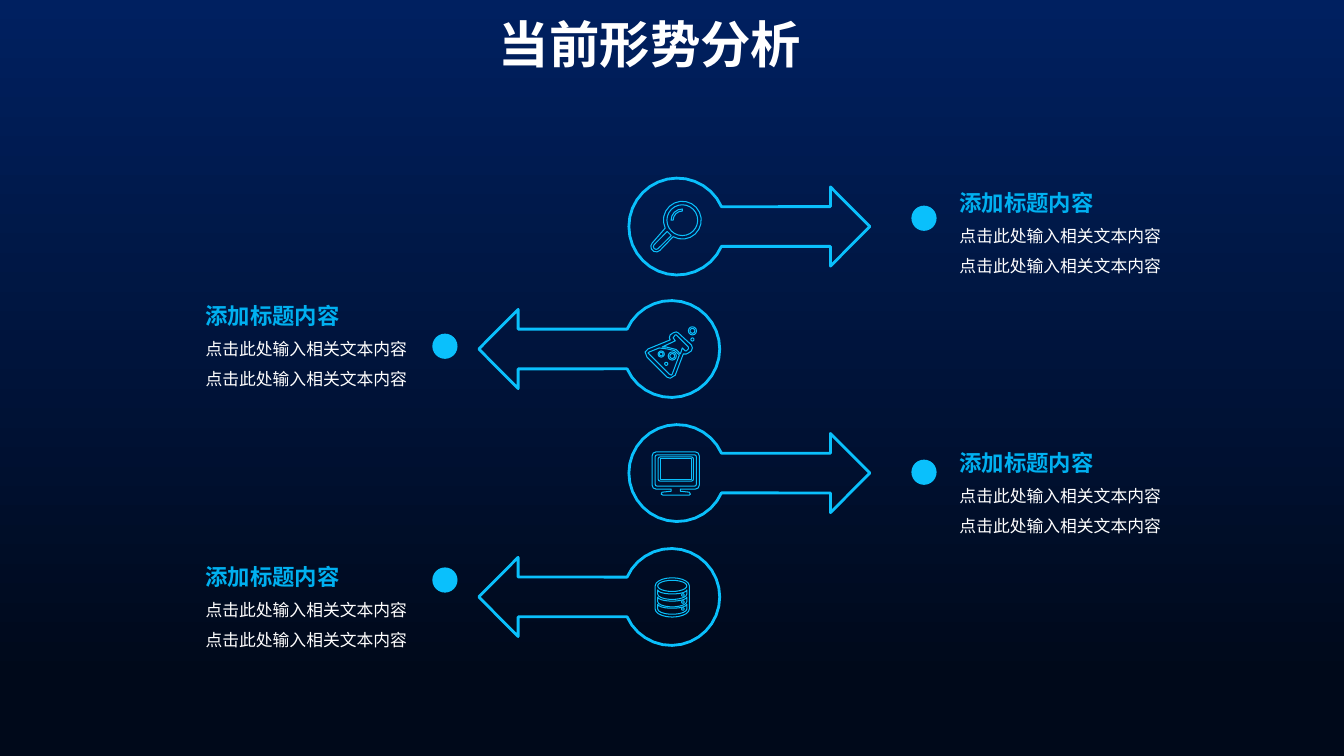
from math import cos, radians, sin, sqrt

from pptx import Presentation
from pptx.dml.color import RGBColor
from pptx.enum.shapes import MSO_SHAPE
from pptx.enum.text import MSO_ANCHOR, PP_ALIGN
from pptx.oxml.ns import qn
from pptx.util import Pt

OVAL = MSO_SHAPE.OVAL
DONUT = MSO_SHAPE.DONUT
LEFT = PP_ALIGN.LEFT
TOP = MSO_ANCHOR.TOP
FONT = "Noto Sans"
COLORS = {"sky": "002060", "night": "00091A", "cyan": "0AC0FC",
          "heading": "00B0F0", "white": "FFFFFF"}
TITLE = {"size": Pt(36), "bold": True, "color": "white"}
HEADING = {"size": Pt(16), "bold": True, "color": "heading"}
BODY = {"size": Pt(12), "bold": False, "color": "white"}

# Hub centre, dot centre and text corner of each step; way 1 points right
STEPS = [
    {"way": 1, "hub": (483.8, 161.8), "dot": (660, 155.9), "text": (685.4, 125.3)},
    {"way": -1, "hub": (479.5, 249.3), "dot": (317.8, 247.3), "text": (146.9, 205.9)},
    {"way": 1, "hub": (483.8, 337.9), "dot": (660, 337.3), "text": (685.4, 311)},
    {"way": -1, "hub": (479.5, 426.4), "dot": (317.8, 414.3), "text": (146.9, 392.4)},
]


def rgb(name):
    return RGBColor.from_string(COLORS[name])


# Outline geometry: lists of points relative to a hub centre
def arc(x, y, rx, ry, start, end):
    steps = max(2, round(abs(end - start) * sqrt(rx) / 65))
    angles = [radians(start + (end - start) * i / steps) for i in range(steps + 1)]
    return [(x + rx * cos(a), y + ry * sin(a)) for a in angles]


def rounded(left, top, right, bottom, r):
    corners = [(left + r, bottom - r), (left + r, top + r),
               (right - r, top + r), (right - r, bottom - r)]
    return [point for i, (x, y) in enumerate(corners)
            for point in arc(x, y, r, r, 90 + 90 * i, 180 + 90 * i)]


def arrow(way):
    shaft = [(109.4, 14.2), (109.4, 28.3), (137.5, 0), (109.4, -28.3), (109.4, -14.2)]
    outline = arc(0, 0, 34.6, 34.6, -24.2, -335.8) + shaft
    return [(way * x, y) for x, y in outline]


# Icons: shapes made of outlines, then rounds as (preset, x, y, rx, ry)
def magnifier():
    lens = (3.6, -4.5)
    rim = arc(*lens, 13.5, 13.5, 155, 479) + arc(-15.1, 14.4, 3.8, 3.8, 45, 225)
    grip = arc(-15.1, 14.4, 2, 2, 45, 225) + [(-7.2, 3.6), (-4.3, 6.5)]
    glint = arc(*lens, 8, 8, 180, 270) + arc(*lens, 6.5, 6.5, 270, 180)
    return [[rim, grip], [glint]], [(OVAL, *lens, 11, 11)]


def flask():
    glass = [(5, -11.5), (3.6, -12.2), (1.4, -11.5), (-0.7, -10.1), (-1.4, -7.9),
             (-0.7, -6.5), (-16.6, 0), (-18.7, 2.2), (-17.3, 5.8), (-2.9, 20.2),
             (-0.7, 20.9), (2.9, 18.7), (8.6, 3.6), (10.8, 3.6), (12.2, 2.9),
             (14.4, 1.4), (15.1, -0.7), (14.4, -2.9)]
    neck = [(12.2, 0), (10.8, 1.4), (10.1, 1.4), (7.9, -0.7), (6.5, 3.6),
            (3.6, 0.4), (-3.6, -1.4), (-6.5, -1.4), (2.9, -5.8), (1.4, -7.9),
            (2.9, -10.1), (3.6, -10.1), (12.2, -1.4)]
    liquid = [(0.7, 18), (0, 18.7), (-1.4, 18), (-15.8, 3.6), (-16.6, 2.9),
              (-15.8, 2.2), (-8.6, -0.7), (-2.9, 0), (2.2, 1.1), (5.8, 4.3)]
    bubbles = [(DONUT, 0.7, 5, 2.9, 2.9), (DONUT, 15.1, -13, 2.9, 2.9),
               (DONUT, -7.2, 3.6, 2.2, 2.2), (OVAL, -3.6, 10.6, 1.1, 1.1),
               (OVAL, 15.1, -6.8, 1.1, 1.1)]
    return [[glass, neck, liquid]], bubbles


def monitor():
    stand = [(2.2, 11.5), (2.2, 13), (8.6, 13.7), (9.4, 15.1), (8.6, 15.8),
             (-10.1, 15.8), (-11.5, 15.1), (-10.8, 13.7), (-4.3, 13), (-4.3, 11.5)]
    case = rounded(-18, -15.1, 15.8, 11.5, 2.9) + stand
    screen = [(-12.2, -10.1), (10.1, -10.1), (10.1, 4.3), (-12.2, 4.3)]
    return [[screen, rounded(-13.7, -11.5, 11.5, 5.8, 1.4)],
            [case, rounded(-15.8, -13, 13.7, 9.4, 1.4)]], []


def database():
    shell = arc(0.7, -7.9, 12.2, 5.8, 180, 360) + arc(0.7, 8.6, 12.2, 5.8, 0, 180)
    disks = [arc(0.7, -5 + 5.1 * i, 10.4, 2.9, 180, 0)
             + arc(0.7, -2 + 5.3 * i, 10.4, 3.8, 0, 180) for i in range(3)]
    lights = [(OVAL, 8.3, -1.4 + 5 * i, 0.9, 0.9) for i in range(3)]
    return [[shell] + disks], [(OVAL, 0.7, -7.9, 10.4, 4)] + lights


# Page elements
def style_line(shape, width):
    shape.shadow.inherit = False
    shape.fill.background()
    shape.line.color.rgb = rgb("cyan")
    shape.line.width = Pt(width)


def draw_outline(page, hub, outlines, width):
    placed = [[(Pt(hub[0] + x), Pt(hub[1] + y)) for x, y in outline]
              for outline in outlines]
    builder = page.shapes.build_freeform(*placed[0][0])
    for number, points in enumerate(placed):
        if number:
            builder.move_to(*points[0])
        builder.add_line_segments(points[1:], close=True)
    style_line(builder.convert_to_shape(), width)


def add_round(page, preset, x, y, rx, ry):
    return page.shapes.add_shape(preset, Pt(x - rx), Pt(y - ry), Pt(2 * rx), Pt(2 * ry))


def draw_icon(page, hub, icon):
    shapes, rounds = icon()
    for outlines in shapes:
        draw_outline(page, hub, outlines, 0.75)
    for preset, x, y, rx, ry in rounds:
        ring = add_round(page, preset, hub[0] + x, hub[1] + y, rx, ry)
        style_line(ring, 0.75)
        if preset == DONUT:
            ring.adjustments[0] = 0.2


def draw_dot(page, x, y):
    dot = add_round(page, OVAL, x, y, 9, 9)
    dot.shadow.inherit = False
    dot.fill.solid()
    dot.fill.fore_color.rgb = rgb("cyan")
    dot.line.fill.background()


def add_span(para, text, style):
    span = para.add_run()
    span.text = text
    span.font.name = FONT
    for name, value in style.items():
        if name == "color":
            span.font.color.rgb = rgb(value)
        else:
            setattr(span.font, name, value)
    east_asian = span.font._element.makeelement(qn("a:ea"), {"typeface": FONT})
    span.font._element.append(east_asian)


def add_caption(page, left, top):
    box = page.shapes.add_textbox(Pt(left), Pt(top), Pt(153.4), Pt(70.6))
    frame = box.text_frame
    frame.word_wrap = True
    for side in ("left", "top", "right", "bottom"):
        setattr(frame, f"margin_{side}", Pt(0))
    texts = [("添加标题内容", HEADING),
             ("点击此处输入相关文本内容" * 2, BODY)]
    for number, (text, style) in enumerate(texts):
        para = frame.add_paragraph() if number else frame.paragraphs[0]
        para.line_spacing = 1.5
        add_span(para, text, style)


def set_title(page, text):
    title = page.shapes.title
    place = {"left": 349.2, "top": 5.8, "width": 414, "height": 51.1}
    for name, value in place.items():
        setattr(title, name, Pt(value))
    title.text_frame.vertical_anchor = TOP
    para = title.text_frame.paragraphs[0]
    para.alignment = LEFT
    add_span(para, text, TITLE)


def set_background(page):
    fill = page.background.fill
    fill.gradient()
    fill.gradient_angle = 270
    for stop, (position, name) in zip(fill.gradient_stops, [(0, "sky"), (0.9, "night")]):
        stop.position = position
        stop.color.rgb = rgb(name)


def main():
    deck = Presentation()
    deck.slide_width, deck.slide_height = Pt(960), Pt(540)
    page = deck.slides.add_slide(deck.slide_layouts.get_by_name("Title Only"))
    set_background(page)
    set_title(page, "当前形势分析")
    for step, icon in zip(STEPS, (magnifier, flask, monitor, database)):
        draw_outline(page, step["hub"], [arrow(step["way"])], 2)
        draw_icon(page, step["hub"], icon)
        draw_dot(page, *step["dot"])
        add_caption(page, *step["text"])
    deck.save("out.pptx")


if __name__ == "__main__":
    main()
